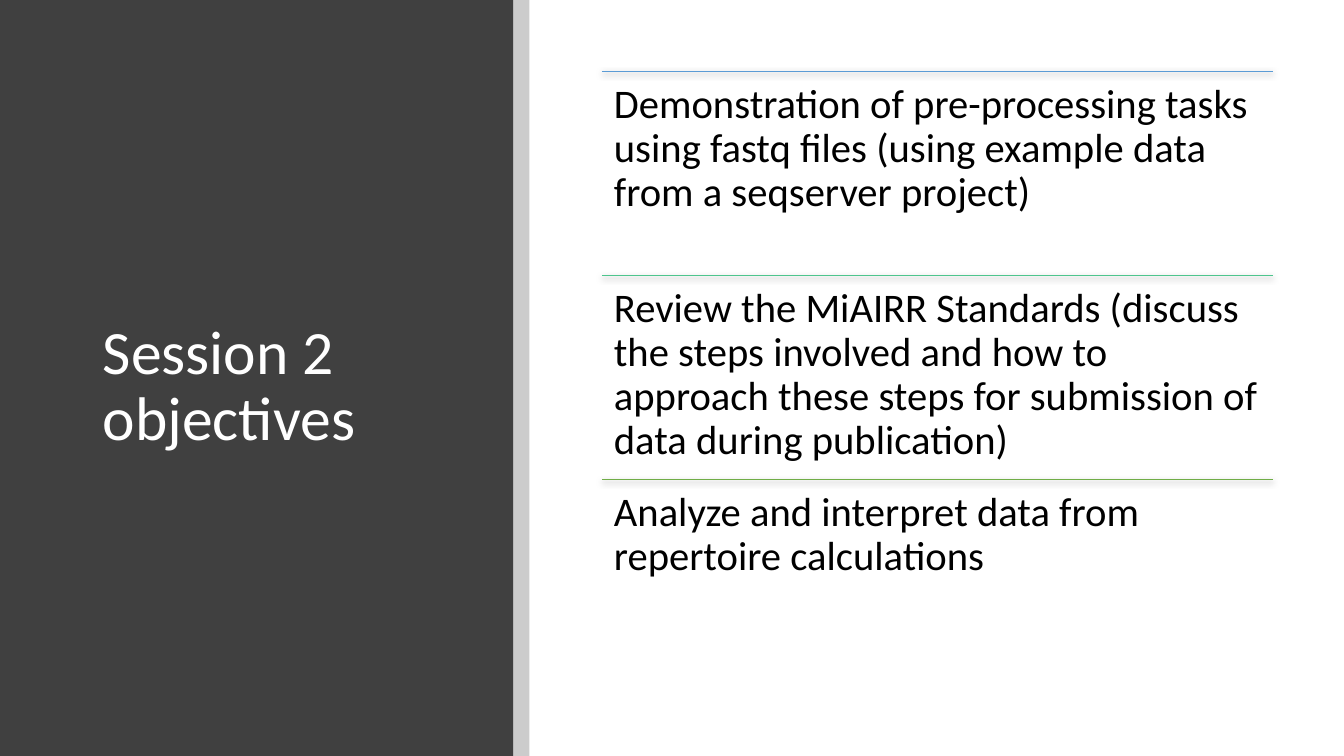
from lxml import etree
from pptx import Presentation
from pptx.dml.color import RGBColor
from pptx.enum.shapes import MSO_CONNECTOR, MSO_SHAPE
from pptx.enum.text import MSO_ANCHOR, MSO_AUTO_SIZE, PP_ALIGN
from pptx.oxml import parse_xml
from pptx.oxml.ns import nsdecls, qn
from pptx.util import Inches, Pt

RECTANGLE = MSO_SHAPE.RECTANGLE
STRAIGHT = MSO_CONNECTOR.STRAIGHT
TOP, MIDDLE = MSO_ANCHOR.TOP, MSO_ANCHOR.MIDDLE
LEFT = PP_ALIGN.LEFT
NO_FIT = MSO_AUTO_SIZE.NONE

CHARCOAL = RGBColor(0x40, 0x40, 0x40)
BLACK = RGBColor(0x00, 0x00, 0x00)
WHITE = RGBColor(0xFF, 0xFF, 0xFF)
BLUE = RGBColor(0x5B, 0x9B, 0xD5)
TEAL = RGBColor(0x4D, 0xC5, 0x8D)
GREEN = RGBColor(0x70, 0xAD, 0x47)

TITLE_ONLY_LAYOUT = 5
PANEL_WIDTH = 38.19
LIST_LEFT, LIST_TOP, LIST_WIDTH, ROW_HEIGHT = 44.78, 9.47, 49.95, 27

OBJECTIVES = [
    (BLUE, "Demonstration of pre-processing tasks using fastq files "
           "(using example data from a seqserver project)"),
    (TEAL, "Review the MiAIRR Standards (discuss the steps involved and how to "
           "approach these steps for submission of data during publication)"),
    (GREEN, "Analyze and interpret data from repertoire calculations"),
]

SHADOW = (
    f'<a:effectLst {nsdecls("a")}>'
    '<a:outerShdw blurRad="57150" dist="19050" dir="5400000" algn="ctr" rotWithShape="0">'
    '<a:srgbClr val="000000"><a:alpha val="63000"/></a:srgbClr>'
    '</a:outerShdw></a:effectLst>'
)


def apply_format(target, values):
    for name, value in values.items():
        setattr(target, name, value)


class SlideBuilder:
    """Draws on one slide; lengths are percentages of its width and height."""

    font_name = "Calibri"

    def __init__(self, presentation):
        self.width = presentation.slide_width
        self.height = presentation.slide_height
        layout = presentation.slide_layouts[TITLE_ONLY_LAYOUT]
        self.slide = presentation.slides.add_slide(layout)

    def box(self, left, top, width, height):
        shares = zip((left, top, width, height), (self.width, self.height) * 2)
        return [round(share * full / 100) for share, full in shares]

    def panel(self, area, color, opacity=100):
        shape = self.slide.shapes.add_shape(RECTANGLE, *self.box(*area))
        shape.shadow.inherit = False
        shape.fill.solid()
        shape.fill.fore_color.rgb = color
        shape.line.fill.background()
        if opacity < 100:
            fill_color = shape._element.spPr.find(qn("a:solidFill"))[0]
            etree.SubElement(fill_color, qn("a:alpha"), val=str(opacity * 1000))

    def set_text(self, shape, text, size, color, anchor, insets):
        """Fill a shape with one left-aligned paragraph; insets are (sides, ends)."""
        sides, ends = map(Inches, insets)
        frame = shape.text_frame
        frame.text = text
        apply_format(frame, {
            "word_wrap": True, "auto_size": NO_FIT, "vertical_anchor": anchor,
            "margin_left": sides, "margin_right": sides,
            "margin_top": ends, "margin_bottom": ends,
        })
        paragraph = frame.paragraphs[0]
        apply_format(paragraph, {"alignment": LEFT, "line_spacing": 0.9})
        font = paragraph.runs[0].font
        apply_format(font, {"name": self.font_name, "size": Pt(size)})
        font.color.rgb = color

    def title(self, area, text):
        shape = self.slide.shapes.title
        apply_format(shape, dict(zip(("left", "top", "width", "height"), self.box(*area))))
        self.set_text(shape, text, 44, WHITE, MIDDLE, (0.1, 0.05))
        # Bring the title in front of the panels.
        self.slide.shapes._spTree.append(shape._element)

    def rule(self, left, top, width, color):
        x, y, length, _ = self.box(left, top, width, 0)
        connector = self.slide.shapes.add_connector(STRAIGHT, x, y, x + length, y)
        connector.line.color.rgb = color
        connector.line.width = Pt(0.5)
        connector._element.spPr.append(parse_xml(SHADOW))

    def text(self, area, text):
        shape = self.slide.shapes.add_textbox(*self.box(*area))
        self.set_text(shape, text, 29, BLACK, TOP, (0.12, 0.12))


def main():
    presentation = Presentation()
    presentation.slide_width = Inches(13.33)
    presentation.slide_height = Inches(7.5)

    builder = SlideBuilder(presentation)
    builder.panel((0, 0, PANEL_WIDTH, 100), CHARCOAL)
    builder.panel((PANEL_WIDTH, 0, 1.2, 100), BLACK, opacity=20)
    builder.title((6.9, 11.87, 27.38, 78.8), "Session 2 objectives")

    for index, (color, objective) in enumerate(OBJECTIVES):
        top = LIST_TOP + index * ROW_HEIGHT
        builder.rule(LIST_LEFT, top, LIST_WIDTH, color)
        builder.text((LIST_LEFT, top, LIST_WIDTH, ROW_HEIGHT), objective)

    presentation.save("out.pptx")


if __name__ == "__main__":
    main()
